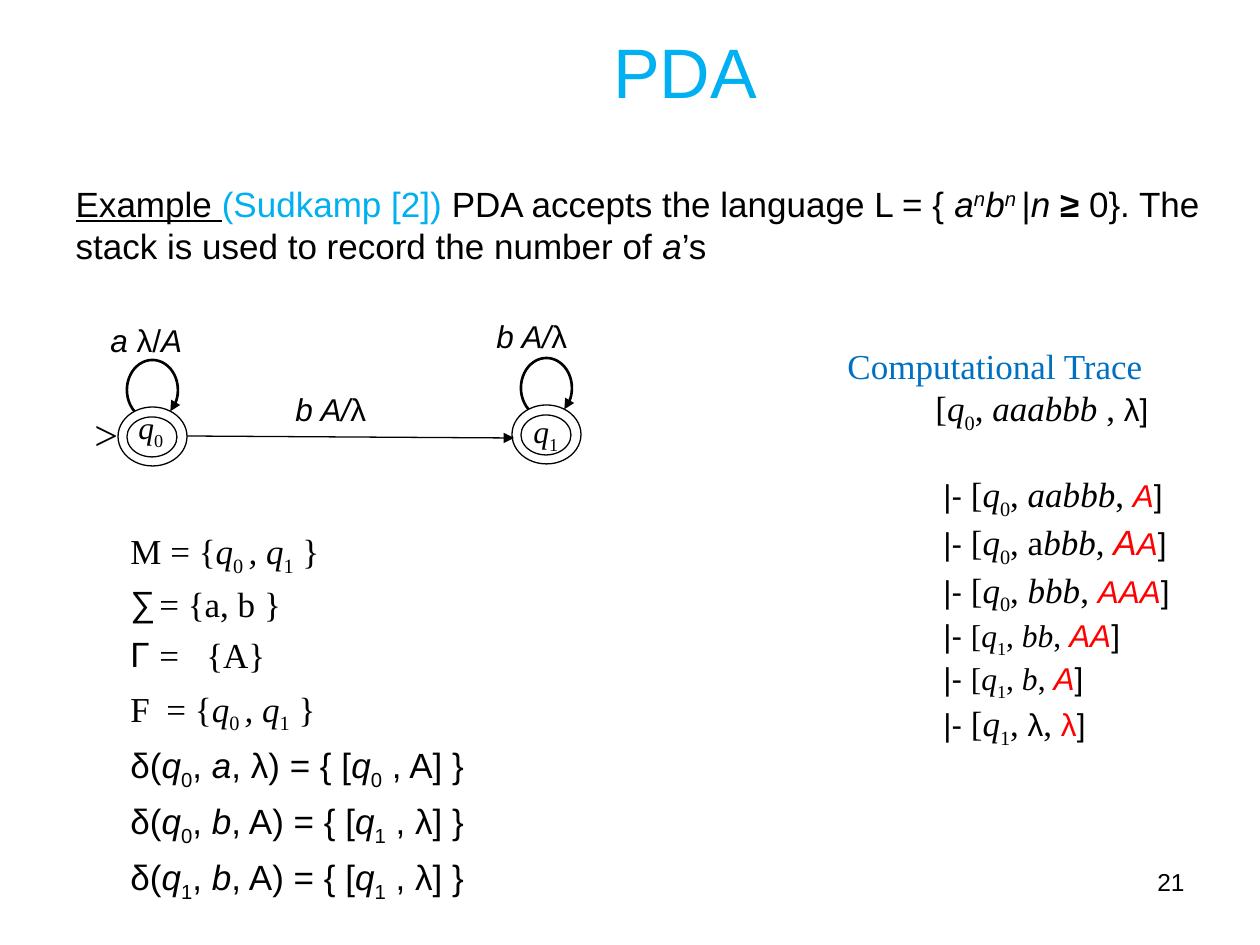
"""Build the slide on a pushdown automaton for the language a^n b^n."""
from dataclasses import dataclass

from lxml import etree
from pptx import Presentation
from pptx import util as u
from pptx.dml.color import RGBColor
from pptx.enum import shapes, text
from pptx.oxml.ns import qn


@dataclass(frozen=True)
class Theme:
    black: RGBColor = RGBColor(0, 0, 0)
    cyan: RGBColor = RGBColor(0x00, 0xB0, 0xF0)
    blue: RGBColor = RGBColor(0x00, 0x70, 0xC0)
    red: RGBColor = RGBColor(0xFF, 0, 0)
    sans: str = "Arial"
    serif: str = "Times New Roman"
    title: int = 40
    marker: int = 24
    body: int = 20
    label: int = 18
    number: int = 14
    thin: float = 0.74
    thick: float = 1.5


theme = Theme()
PX = u.Inches(1) / 126
FACES = {"a": theme.sans, "s": theme.serif}
COLOURS = {"r": theme.red, "c": theme.cyan, "l": theme.blue}
BASELINES = {"^": "30000", "_": "-25000"}


def write(para, spans, face, size):
    for words, flags in spans:
        span = para.add_run()
        span.text = words
        font = span.font
        font.name, font.size, font.color.rgb = face, u.Pt(size), theme.black
        font.italic, font.bold, font.underline = "i" in flags, "b" in flags, "u" in flags
        for flag in flags:
            if flag in FACES:
                font.name = FACES[flag]
            elif flag in COLOURS:
                font.color.rgb = COLOURS[flag]
            elif flag in BASELINES:
                span._r.get_or_add_rPr().set("baseline", BASELINES[flag])
            elif flag == "m":
                font.size = u.Pt(theme.label)


def add_box(left, top, width, height):
    box = page.shapes.add_textbox(*(round(n * PX) for n in (left, top, width, height)))
    box.text_frame.word_wrap = True
    return box.text_frame


deck = Presentation()
deck.slide_width, deck.slide_height = u.Inches(10), u.Inches(7.5)
page = deck.slides.add_slide(deck.slide_layouts[1])
title, body = page.placeholders

for holder, place in ((title, (481, 30, 408, 80)), (body, (63, 176, 1166, 714))):
    holder.left, holder.top, holder.width, holder.height = (round(n * PX) for n in place)
    holder.text_frame.auto_size = text.MSO_AUTO_SIZE.NONE
write(title.text_frame.paragraphs[0], [("PDA", "c")], theme.sans, theme.title)

example = body.text_frame.paragraphs[0]
props = example._p.get_or_add_pPr()
props.set("marL", "0")
props.set("indent", "0")
etree.SubElement(props, qn("a:buNone"))
write(example, [
    ("Example ", "u"), ("(Sudkamp [2]) ", "c"), ("PDA accepts the language L = { ", ""),
    ("a", "i"), ("n", "i^"), ("b", "i"), ("n ", "i^"), ("|", ""), ("n ", "i"), ("≥ ", "b"),
    ("0}. The stack is used to record the number of ", ""), ("a", "i"), ("’s", ""),
], theme.sans, theme.body)

q = [[("q", "i"), (str(n), "_")] for n in range(2)]

trace = add_box(679, 338, 510, 422)
trace_lines = [
    (156, theme.body, [("Computational Trace", "l")]),
    (244, theme.body, [("[", ""), *q[0], (", ", ""), ("aaabbb ", "i"), (", ", ""), ("λ]", "am")]),
]
for state, word, stack, size in (
    (0, [("aabbb", "i")], [("A", "airm")], theme.body),
    (0, [("a", ""), ("bbb", "i")], [("A", "air"), ("A", "airm")], theme.body),
    (0, [("bbb", "i")], [("AAA", "airm")], theme.body),
    (1, [("bb", "i")], [("AA", "airm")], theme.label),
    (1, [("b", "i")], [("A", "airm")], theme.label),
    (1, [("λ", "am")], [("λ", "arm")], theme.body),
):
    trace_lines.append((252, size, [("|- ", "am"), ("[", ""), *q[state], (", ", ""), *word,
                                    (", ", ""), *stack, ("]", "am")]))
for row, (indent, size, spans) in enumerate(trace_lines):
    para = trace.paragraphs[0] if row == 0 else trace.add_paragraph()
    para._p.get_or_add_pPr().set("marL", str(round(indent * PX)))
    if row == 2:
        para.space_before = u.Pt(22)
    write(para, spans, theme.serif, size)

states = [*q[0], (" ", "_"), (", ", "i"), *q[1], (" }", "")]
definitions = [
    (theme.serif, "", 0, [("M = {", ""), *states]),
    (theme.serif, "∑", 0, [("= {a, b }", "")]),
    (theme.serif, "Γ", 76, [("=\t{A}", "")]),
    (theme.serif, "", 36, [("F\t= {", ""), *states]),
]
for source, letter, top, target, push in (
    (0, "a", "λ", 0, "A"), (0, "b", "A", 1, "λ"), (1, "b", "A", 1, "λ"),
):
    definitions.append((theme.sans, "", 0, [
        ("δ(", ""), *q[source], (", ", ""), (letter, "i"), (f", {top}) = {{ [", ""),
        *q[target], (f" , {push}] }}", "")]))
frame = add_box(118, 523, 700, 400)
for row, (face, bullet, stop, spans) in enumerate(definitions):
    para = frame.paragraphs[0] if row == 0 else frame.add_paragraph()
    para.line_spacing, para.space_before = 0.95, u.Pt(6.2)
    props = para._p.get_or_add_pPr()
    if bullet:
        props.set("marL", str(round(29 * PX)))
        props.set("indent", str(round(-29 * PX)))
        etree.SubElement(props, qn("a:buFont"), typeface=theme.sans)
        etree.SubElement(props, qn("a:buChar"), char=bullet)
    if stop:
        tabs = etree.SubElement(props, qn("a:tabLst"))
        etree.SubElement(tabs, qn("a:tab"), pos=str(round(stop * PX)), algn="l")
    write(para, spans, face, theme.body)

outlines = []
for left, top in ((118, 407), (512, 405)):
    for kind, dx, dy, width, height, weight in (
        (shapes.MSO_SHAPE.OVAL, 0, 0, 69, 59, theme.thin),
        (shapes.MSO_SHAPE.OVAL, 9, 10, 50, 40, theme.thin),
        (shapes.MSO_SHAPE.ARC, 9, -47, 51, 60, theme.thick),
    ):
        shape = page.shapes.add_shape(
            kind, *(round(n * PX) for n in (left + dx, top + dy, width, height)))
        shape.shadow.inherit = False
        shape.fill.background()
        outlines.append((shape, weight, kind == shapes.MSO_SHAPE.ARC))
        if kind == shapes.MSO_SHAPE.ARC:
            shape.adjustments[0], shape.adjustments[1] = 130 * 0.6, 50 * 0.6

step = page.shapes.add_connector(
    shapes.MSO_CONNECTOR.STRAIGHT, *(round(n * PX) for n in (187, 436, 514, 438)))
outlines.append((step, theme.thin, True))
for shape, weight, arrow in outlines:
    shape.line.color.rgb, shape.line.width = theme.black, u.Pt(weight)
    if arrow:
        etree.SubElement(shape.line._get_or_add_ln(), qn("a:tailEnd"), type="triangle")
etree.SubElement(step._element.spPr, qn("a:effectLst"))

pop = [("b A/", "i"), ("λ", "")]
for left, top, width, spans, face, size in (
    (126, 402, 65, q[0], theme.serif, theme.label),
    (521, 406, 65, q[1], theme.serif, theme.label),
    (82, 402, 49, [(">", "")], theme.serif, theme.marker),
    (98, 315, 183, [("a ", "i"), ("λ/", ""), ("A", "i")], theme.sans, theme.label),
    (484, 311, 183, pop, theme.sans, theme.label),
    (283, 384, 183, pop, theme.sans, theme.label),
):
    write(add_box(left, top, width, 52).paragraphs[0], spans, face, size)

number = add_box(903, 861, 294, 65).paragraphs[0]
number.alignment = text.PP_ALIGN.RIGHT
write(number, [("21", "")], theme.sans, theme.number)

deck.save("out.pptx")
